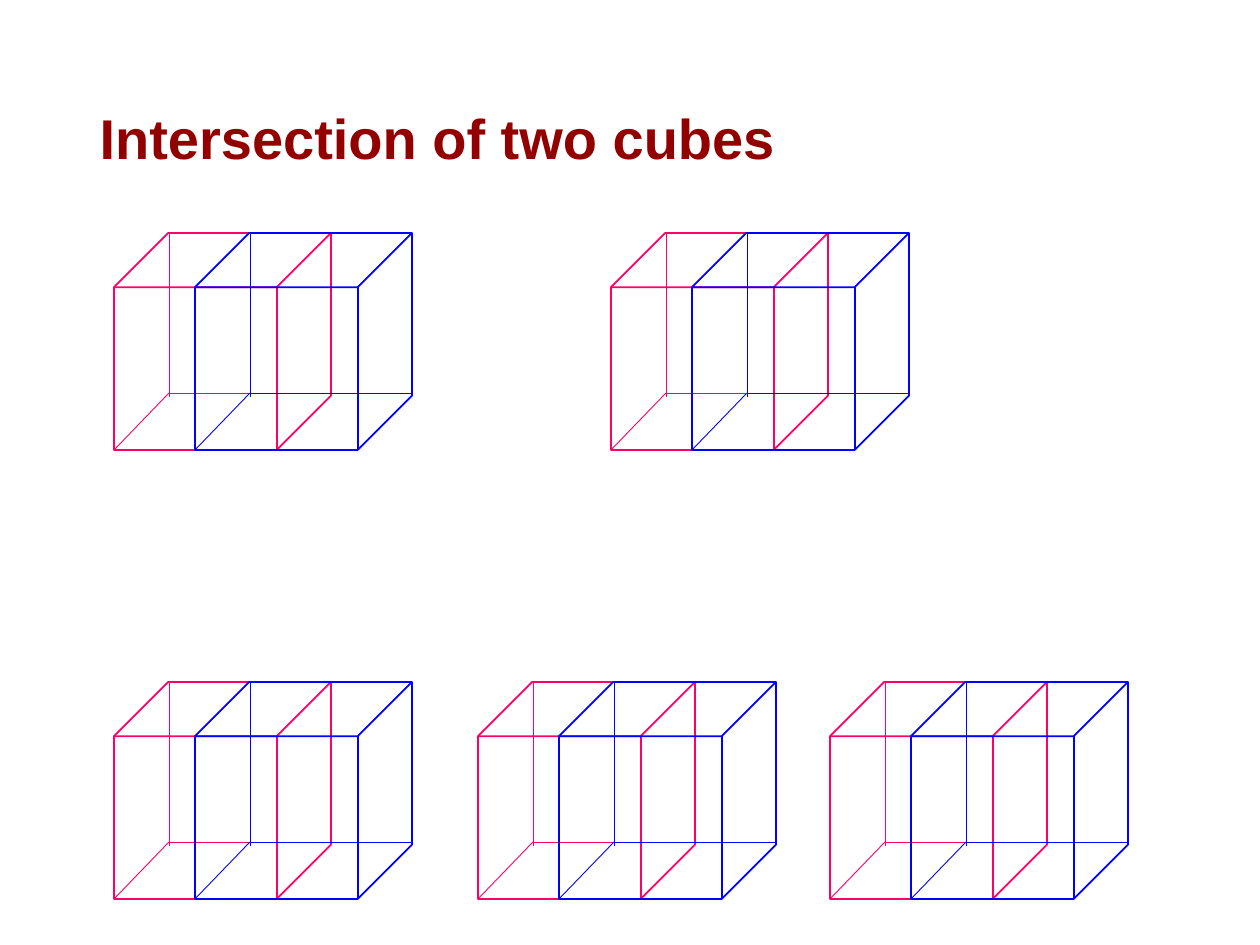
"""Build a slide of five pairs of intersecting wireframe cubes."""
from pptx import Presentation
from pptx import util as u
from pptx.dml.color import RGBColor
from pptx.enum import shapes, text
from pptx.oxml.ns import qn
from lxml import etree

DARK_RED = RGBColor(0x92, 0x00, 0x00)
PINK = RGBColor(0xFF, 0x00, 0x66)
BLUE = RGBColor(0x00, 0x00, 0xFF)

PX_PER_INCH = 126
CUBE_SIZE = 217
CUBE_DEPTH = 55
EDGE_OVERLAP = 4
PAIR_SHIFT = 81
ROWS = {233: (114, 611), 682: (114, 478, 830)}


def px(length):
    return u.Inches(length / PX_PER_INCH)


class SlideBuilder:
    font_name = "Arial"
    title_size = u.Pt(32)
    front_width = u.Pt(1)
    hidden_width = u.Pt(0.5)

    def __init__(self, slide):
        self.slide = slide

    def title(self, words, left, top, width, height):
        shape = self.slide.shapes.title
        shape.left, shape.top = px(left), px(top)
        shape.width, shape.height = px(width), px(height)
        frame = shape.text_frame
        frame.text = words
        frame.word_wrap = True
        frame.auto_size = text.MSO_AUTO_SIZE.NONE
        frame.vertical_anchor = text.MSO_ANCHOR.MIDDLE
        paragraph = frame.paragraphs[0]
        paragraph.alignment = text.PP_ALIGN.LEFT
        paragraph.line_spacing = 0.9
        font = paragraph.font
        font.name, font.size, font.bold = self.font_name, self.title_size, True
        font.color.rgb = DARK_RED

    def hidden_edge(self, group, start, end, color):
        connector = group.shapes.add_connector(
            shapes.MSO_CONNECTOR.STRAIGHT, *map(px, start + end))
        connector.line.color.rgb = color
        connector.line.width = self.hidden_width
        etree.SubElement(connector._element.spPr, qn("a:effectLst"))

    def cube(self, left, top, color):
        group = self.slide.shapes.add_group_shape()
        shape = group.shapes.add_shape(
            shapes.MSO_SHAPE.CUBE, px(left), px(top), px(CUBE_SIZE), px(CUBE_SIZE))
        shape.shadow.inherit = False
        shape.fill.background()
        shape.line.color.rgb = color
        shape.line.width = self.front_width

        right, bottom = left + CUBE_SIZE, top + CUBE_SIZE
        back_left = left + CUBE_DEPTH
        back_bottom = bottom - CUBE_DEPTH - 2
        corner = (back_left, back_bottom)
        self.hidden_edge(group, (back_left, top),
                         (back_left, back_bottom + EDGE_OVERLAP), color)
        self.hidden_edge(group, corner, (right, back_bottom), color)
        self.hidden_edge(group, corner, (left, bottom), color)

    def cube_pair(self, left, top):
        self.cube(left, top, PINK)
        self.cube(left + PAIR_SHIFT, top, BLUE)


def main():
    presentation = Presentation()
    presentation.slide_width, presentation.slide_height = px(1260), px(945)
    slide = presentation.slides.add_slide(presentation.slide_layouts[5])
    builder = SlideBuilder(slide)
    builder.title("Intersection of two cubes", 87, 50, 1086, 183)
    for top, lefts in ROWS.items():
        for left in lefts:
            builder.cube_pair(left, top)
    presentation.save("out.pptx")


if __name__ == "__main__":
    main()
